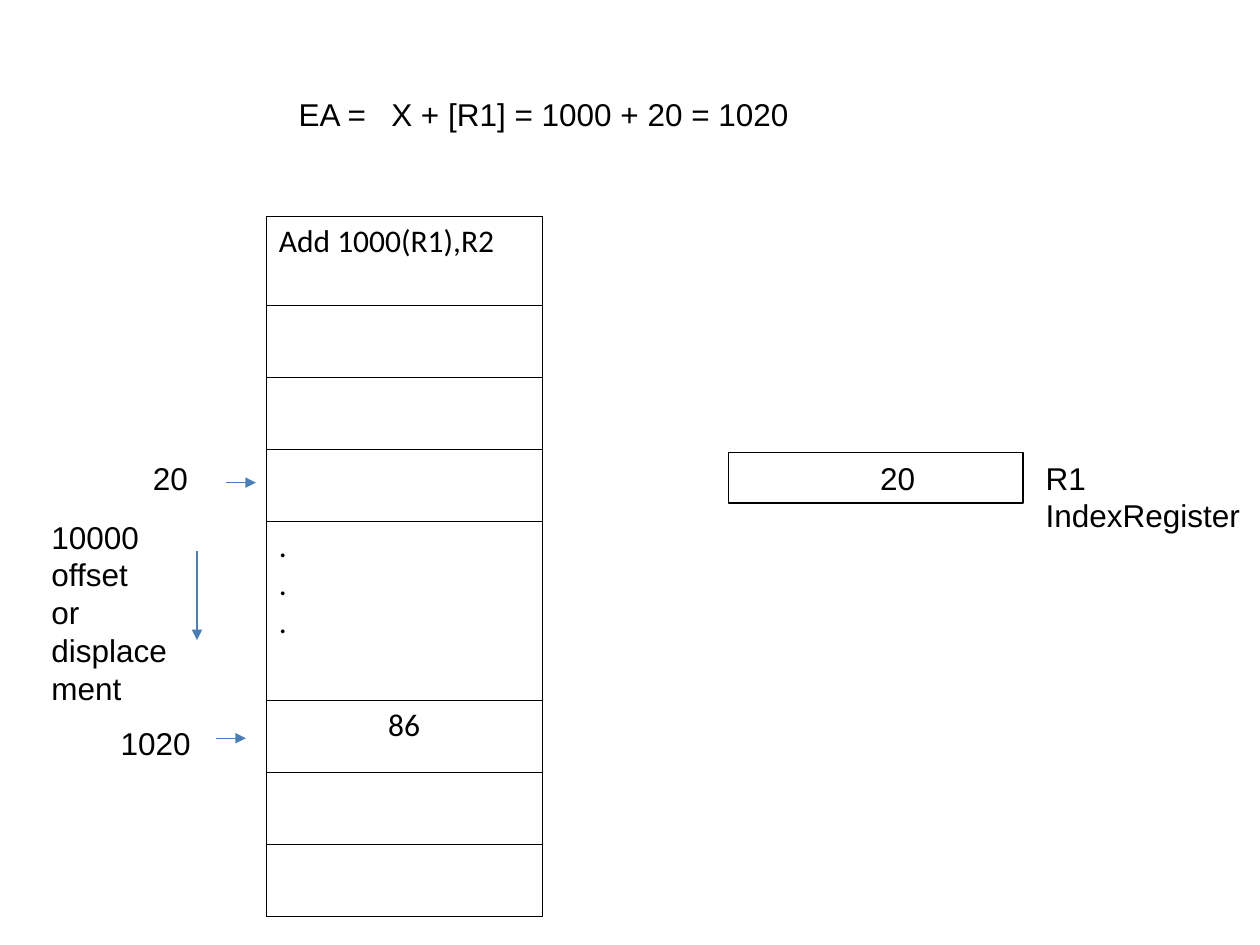
from dataclasses import dataclass

from lxml.etree import SubElement
from pptx import Presentation
from pptx.dml.color import RGBColor
from pptx.enum.shapes import MSO_CONNECTOR, MSO_SHAPE
from pptx.enum.text import MSO_ANCHOR, MSO_AUTO_SIZE, PP_ALIGN
from pptx.oxml import parse_xml
from pptx.oxml.ns import nsdecls, qn
from pptx.util import Pt


@dataclass(frozen=True)
class Theme:
    ink: RGBColor = RGBColor(0, 0, 0)
    blue: RGBColor = RGBColor(0x4A, 0x7E, 0xBB)
    sans: str = "Arial"
    cell: str = "Calibri"
    size: int = 18
    line: float = 0.75
    grid: float = 0.25


THEME = Theme()
FRAME = {"word_wrap": True, "auto_size": MSO_AUTO_SIZE.NONE,
         "vertical_anchor": MSO_ANCHOR.TOP,
         "margin_left": Pt(7.2), "margin_right": Pt(7.2),
         "margin_top": Pt(3.6), "margin_bottom": Pt(3.6)}


def put(item, form):
    for name, value in form.items():
        setattr(item, name, value)


def write(frame, text, font=THEME.sans, **form):
    """Fill a text frame and format each paragraph alike."""
    frame.text = text
    for para in frame.paragraphs:
        put(para, {"alignment": PP_ALIGN.LEFT, **form})
        put(para.font, {"name": font, "size": Pt(THEME.size)})
        para.font.color.rgb = THEME.ink


def title(slide, box, text, stop):
    """Formula in the title, with one tab stop after the equals sign."""
    head = slide.shapes.title
    put(head, dict(zip(("left", "top", "width", "height"), map(Pt, box))))
    put(head.text_frame, FRAME)
    write(head.text_frame, text)
    props = head.text_frame.paragraphs[0]._p.get_or_add_pPr()
    tabs = parse_xml(f'<a:tabLst {nsdecls("a")}>'
                     f'<a:tab pos="{Pt(stop)}" algn="l"/></a:tabLst>')
    props.insert_element_before(tabs, "a:defRPr", "a:extLst")


def label(slide, box, text, inset=7.2):
    frame = slide.shapes.add_textbox(*map(Pt, box)).text_frame
    put(frame, {**FRAME, "margin_left": Pt(inset)})
    write(frame, text)


def register(slide, box, text, inset):
    """Outlined box whose value sits right of centre."""
    shape = slide.shapes.add_shape(MSO_SHAPE.RECTANGLE, *map(Pt, box))
    shape.shadow.inherit = False
    shape.fill.background()
    shape.line.color.rgb = THEME.ink
    shape.line.width = Pt(THEME.line)
    put(shape.text_frame, {**FRAME, "margin_left": Pt(inset)})
    write(shape.text_frame, text, alignment=PP_ALIGN.CENTER)


def arrow(slide, start, end):
    link = slide.shapes.add_connector(MSO_CONNECTOR.STRAIGHT,
                                      *map(Pt, start + end))
    link.line.color.rgb = THEME.blue
    link.line.width = Pt(THEME.line)
    SubElement(link.line._get_or_add_ln(), qn("a:tailEnd"), type="triangle")
    SubElement(link._element.spPr, qn("a:effectLst"))


def border(cell):
    props = cell._tc.get_or_add_tcPr()
    for spot, side in enumerate("LRTB"):
        props.insert(spot, parse_xml(
            f'<a:ln{side} {nsdecls("a")} w="{Pt(THEME.grid)}"><a:solidFill>'
            f'<a:srgbClr val="{THEME.ink}"/></a:solidFill></a:ln{side}>'))


def memory(slide, left, top, width, rows):
    """One column of memory cells: (height, text, alignment) per row."""
    total = sum(row[0] for row in rows)
    table = slide.shapes.add_table(
        len(rows), 1, *map(Pt, (left, top, width, total))).table
    put(table, {"first_row": False, "horz_banding": False})
    for spot, (height, text, align) in enumerate(rows):
        table.rows[spot].height = Pt(height)
        cell = table.cell(spot, 0)
        cell.fill.background()
        border(cell)
        write(cell.text_frame, text, THEME.cell,
              alignment=align, line_spacing=0.98)


def main():
    deck = Presentation()
    put(deck, {"slide_width": Pt(720), "slide_height": Pt(540)})
    slide = deck.slides.add_slide(deck.slide_layouts[5])

    # Effective address formula
    title(slide, (163.4, 50.4, 354, 29), "EA =\tX + [R1] = 1000 + 20 = 1020", 53)

    # Memory column
    blank = (41.15, "", PP_ALIGN.LEFT)
    memory(slide, 152.2, 123.6, 157.5, [
        (51, "Add 1000(R1),R2", PP_ALIGN.LEFT),
        *[blank] * 3,
        (102.4, ".\n.\n.", PP_ALIGN.LEFT),
        (41.15, "86", PP_ALIGN.CENTER),
        *[blank] * 2])

    # Index register
    register(slide, (416.2, 258.5, 168.5, 29), "20", 32)
    label(slide, (590.4, 258.5, 129.6, 50.4), "R1\nIndexRegister")

    # Addresses and offset
    label(slide, (50.4, 258.5, 90, 29), "20", 37)
    label(slide, (22.3, 292.3, 84.2, 115.2), "10000 offset\nor displacement")
    label(slide, (61.9, 410.4, 84.2, 29), "1020")

    # Pointers
    arrow(slide, (129.2, 275.8), (146.2, 275.8))
    arrow(slide, (123.5, 421.9), (140.5, 421.9))
    arrow(slide, (112.6, 314.6), (112.6, 365.8))

    deck.save("out.pptx")


if __name__ == "__main__":
    main()
